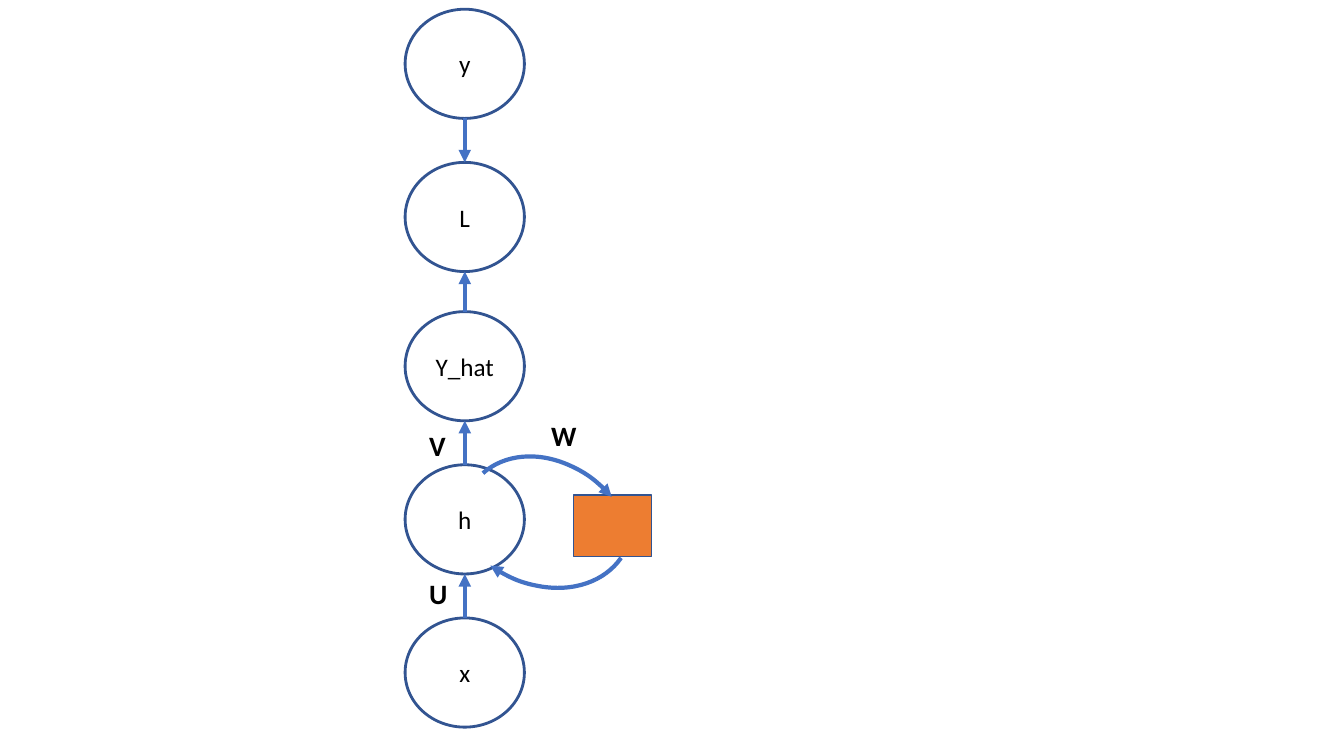
from dataclasses import dataclass

from lxml.etree import SubElement
from pptx import Presentation
from pptx.dml.color import RGBColor
from pptx.enum.shapes import MSO_CONNECTOR, MSO_SHAPE
from pptx.enum.text import MSO_ANCHOR, MSO_AUTO_SIZE, PP_ALIGN
from pptx.oxml.ns import qn
from pptx.shapes.autoshape import Shape
from pptx.slide import Slide
from pptx.text.text import TextFrame
from pptx.util import Pt

BLACK = RGBColor(0x00, 0x00, 0x00)
NAVY = RGBColor(0x32, 0x54, 0x91)
BLUE = RGBColor(0x44, 0x72, 0xC4)
ORANGE = RGBColor(0xED, 0x7D, 0x31)

FONT = "Calibri"
NODE_LEFT, NODE_WIDTH, NODE_HEIGHT = 289.4, 85.2, 78
NODE_CENTER = NODE_LEFT + NODE_WIDTH / 2
ARC_WIDTH, ARC_HEIGHT = 115.9, 146.9


@dataclass(frozen=True)
class Node:
    text: str
    top: float

    @property
    def bottom(self) -> float:
        return self.top + NODE_HEIGHT


@dataclass(frozen=True)
class Loop:
    left: float
    top: float
    rotation: float


@dataclass(frozen=True)
class Weight:
    text: str
    left: float
    top: float
    width: float


TARGET = Node("y", 6.6)
LOSS = Node("L", 116)
PREDICTION = Node("Y_hat", 222.6)
HIDDEN = Node("h", 332)
INPUT = Node("x", 441.4)

NODES = [PREDICTION, HIDDEN, INPUT, TARGET, LOSS]
ARROWS = [
    (TARGET.bottom, LOSS.top),
    (PREDICTION.top, LOSS.bottom),
    (HIDDEN.top, PREDICTION.bottom),
    (INPUT.top, HIDDEN.bottom),
]
LOOPS = [Loop(335.5, 319.7, 318.7), Loop(325.4, 283, 124.9)]
WEIGHTS = [
    Weight("V", 299.5, 302.4, 26.6),
    Weight("U", 299.5, 408.2, 27.4),
    Weight("W", 386.6, 295.2, 33.1),
]


def write_text(frame: TextFrame, text: str, *, size: float, bold: bool = False,
               align: PP_ALIGN = PP_ALIGN.LEFT) -> None:
    para = frame.paragraphs[0]
    para.alignment = align
    span = para.add_run()
    span.text = text
    span.font.name = FONT
    span.font.size = Pt(size)
    span.font.bold = bold
    span.font.color.rgb = BLACK


def add_outline(page: Slide, kind: MSO_SHAPE, left: float, top: float,
                width: float, height: float, *, color: RGBColor = NAVY,
                weight: float = 2) -> Shape:
    """Add an unfilled preset shape without a shadow."""
    shape = page.shapes.add_shape(kind, Pt(left), Pt(top), Pt(width), Pt(height))
    shape.shadow.inherit = False
    shape.fill.background()
    shape.line.color.rgb = color
    shape.line.width = Pt(weight)
    return shape


def add_arrowhead(line_properties) -> None:
    SubElement(line_properties, qn("a:tailEnd"), type="triangle")


def add_node(page: Slide, node: Node) -> None:
    circle = add_outline(page, MSO_SHAPE.OVAL, NODE_LEFT, node.top,
                         NODE_WIDTH, NODE_HEIGHT)
    circle.text_frame.vertical_anchor = MSO_ANCHOR.MIDDLE
    write_text(circle.text_frame, node.text, size=18, align=PP_ALIGN.CENTER)


def add_arrow(page: Slide, start: float, end: float) -> None:
    arrow = page.shapes.add_connector(MSO_CONNECTOR.STRAIGHT, Pt(NODE_CENTER),
                                      Pt(start), Pt(NODE_CENTER), Pt(end))
    arrow.line.color.rgb = BLUE
    arrow.line.width = Pt(3)
    add_arrowhead(arrow.line._get_or_add_ln())
    SubElement(arrow._element.spPr, qn("a:effectLst"))


def add_loop(page: Slide, loop: Loop) -> None:
    arc = add_outline(page, MSO_SHAPE.ARC, loop.left, loop.top, ARC_WIDTH,
                      ARC_HEIGHT, color=BLUE, weight=3)
    arc.rotation = loop.rotation
    add_arrowhead(arc.line._get_or_add_ln())


def add_weight(page: Slide, weight: Weight) -> None:
    box = page.shapes.add_textbox(Pt(weight.left), Pt(weight.top),
                                  Pt(weight.width), Pt(31.5))
    box.text_frame.word_wrap = False
    box.text_frame.auto_size = MSO_AUTO_SIZE.SHAPE_TO_FIT_TEXT
    write_text(box.text_frame, weight.text, size=20, bold=True)


def main() -> None:
    deck = Presentation()
    deck.slide_width, deck.slide_height = Pt(960), Pt(540)
    page = deck.slides.add_slide(deck.slide_layouts[6])

    for node in NODES:
        add_node(page, node)
    for start, end in ARROWS:
        add_arrow(page, start, end)

    delay = add_outline(page, MSO_SHAPE.RECTANGLE, 409.7, 353.5, 55.6, 44, weight=1)
    delay.fill.solid()
    delay.fill.fore_color.rgb = ORANGE

    for loop in LOOPS:
        add_loop(page, loop)
    for weight in WEIGHTS:
        add_weight(page, weight)
    deck.save("out.pptx")


if __name__ == "__main__":
    main()
